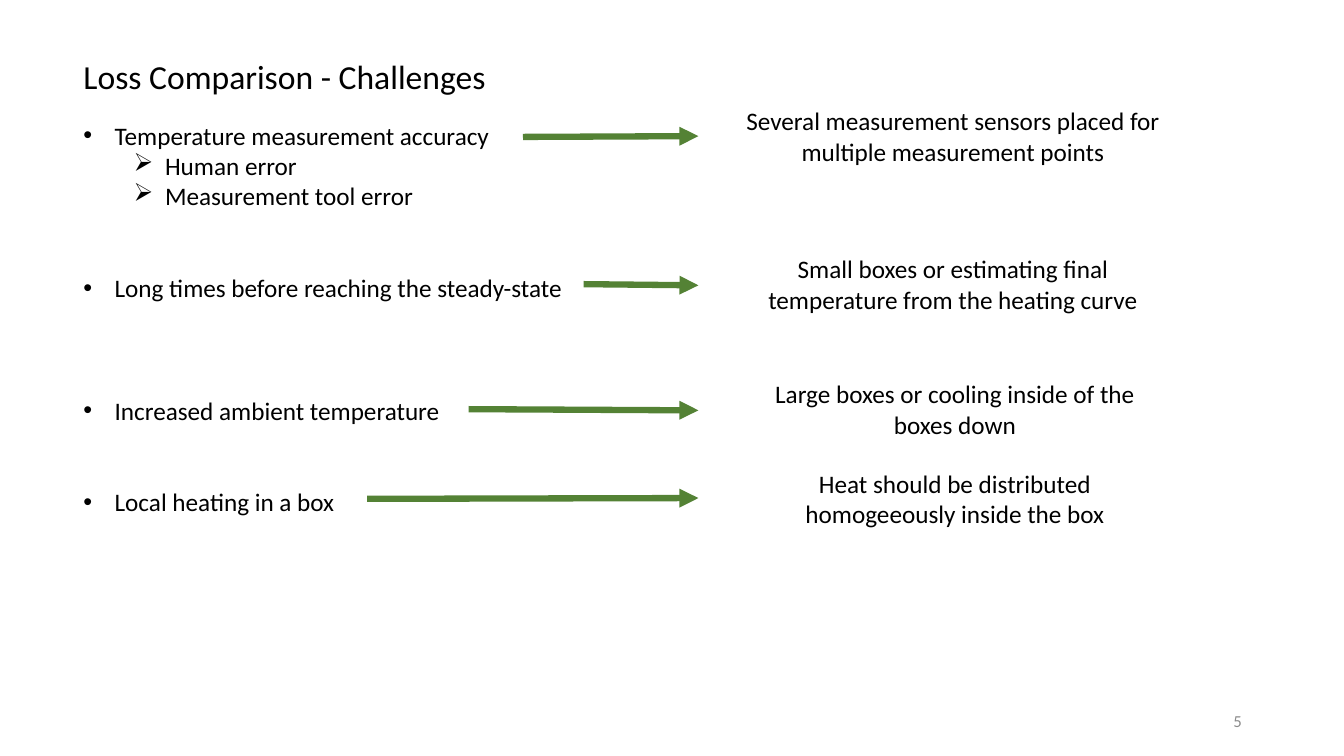
from lxml.etree import SubElement
from pptx import Presentation
from pptx.dml.color import RGBColor
from pptx.enum.shapes import MSO_CONNECTOR
from pptx.enum.text import MSO_ANCHOR, MSO_AUTO_SIZE, PP_ALIGN
from pptx.oxml.ns import qn
from pptx.util import Cm, Pt

COLORS = {"text": "000000", "arrow": "548235", "number": "8C8C8C"}
FONT = "Calibri"
LINE_HEIGHT = 22


def add_run(para, text, size, color="text"):
    span = para.add_run()
    span.text = text
    span.font.name = FONT
    span.font.size = Pt(size)
    span.font.color.rgb = RGBColor.from_string(COLORS[color])


def add_box(page, left, top, width, height):
    box = page.shapes.add_textbox(Cm(left), Cm(top), Cm(width), Cm(height))
    box.text_frame.word_wrap = True
    return box.text_frame


deck = Presentation()
deck.slide_width = Cm(33.87)
deck.slide_height = Cm(19.05)
page = deck.slides.add_slide(deck.slide_layouts[5])

title = page.shapes.title
title.left, title.top, title.width, title.height = Cm(1.85), Cm(1.27), Cm(29.46), Cm(1.27)
title.text_frame.auto_size = MSO_AUTO_SIZE.NONE
title.text_frame.vertical_anchor = MSO_ANCHOR.MIDDLE
title_para = title.text_frame.paragraphs[0]
title_para.alignment = PP_ALIGN.LEFT
add_run(title_para, "Loss Comparison - Challenges", 24)

challenges = [
    ("Temperature measurement accuracy", 0, 0),
    ("Human error", 1, 0),
    ("Measurement tool error", 1, 0),
    ("Long times before reaching the steady-state", 0, 2),
    ("Increased ambient temperature", 0, 3),
    ("Local heating in a box", 0, 2),
]
bullets = ["•", "➢"]
indents = [0.79, 2.06]
challenge_frame = add_box(page, 1.85, 2.9, 14, 10.26)
for index, (text, level, lines_before) in enumerate(challenges):
    para = challenge_frame.paragraphs[0] if index == 0 else challenge_frame.add_paragraph()
    para.level = level
    para.space_before = Pt(lines_before * LINE_HEIGHT)
    properties = para._p.get_or_add_pPr()
    properties.set("marL", str(Cm(indents[level])))
    properties.set("indent", str(-Cm(indents[0])))
    if level == 0:
        SubElement(properties, qn("a:buFont"), typeface="Arial")
    SubElement(properties, qn("a:buChar"), char=bullets[level])
    add_run(para, text, 18)

remedies = [
    ("Several measurement sensors placed for multiple measurement points",
     18.49, 2.54, 13.18, 3.45, 3.43),
    ("Small boxes or estimating final temperature from the heating curve",
     18.49, 6.27, 14.71, 7.16, 7.19),
    ("Large boxes or cooling inside of the boxes down",
     18.54, 9.42, 11.81, 10.31, 10.34),
    ("Heat should be distributed homogeeously inside the box",
     18.54, 11.68, 9.25, 12.57, 12.55),
]
for text, left, top, arrow_left, arrow_start, arrow_end in remedies:
    arrow = page.shapes.add_connector(
        MSO_CONNECTOR.STRAIGHT, Cm(arrow_left), Cm(arrow_start), Cm(17.6), Cm(arrow_end))
    arrow.line.color.rgb = RGBColor.from_string(COLORS["arrow"])
    arrow.line.width = Pt(4.5)
    SubElement(arrow.line._get_or_add_ln(), qn("a:tailEnd"), type="triangle")
    SubElement(arrow._element.spPr, qn("a:effectLst"))

    para = add_box(page, left, top, 11.05, 1.8).paragraphs[0]
    para.alignment = PP_ALIGN.CENTER
    add_run(para, text, 18)

number_frame = add_box(page, 23.93, 17.65, 7.62, 1.02)
number_frame.vertical_anchor = MSO_ANCHOR.MIDDLE
number_para = number_frame.paragraphs[0]
number_para.alignment = PP_ALIGN.RIGHT
add_run(number_para, "5", 12, "number")

deck.save("out.pptx")
